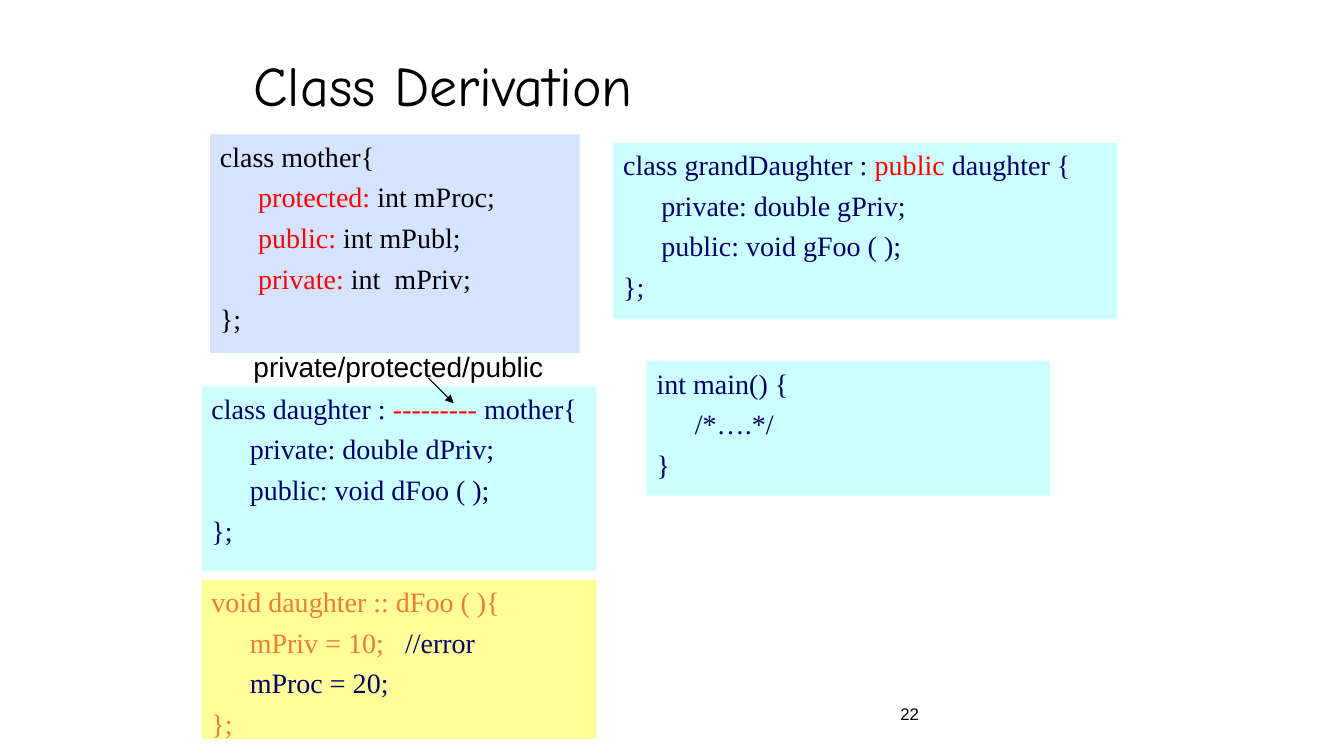
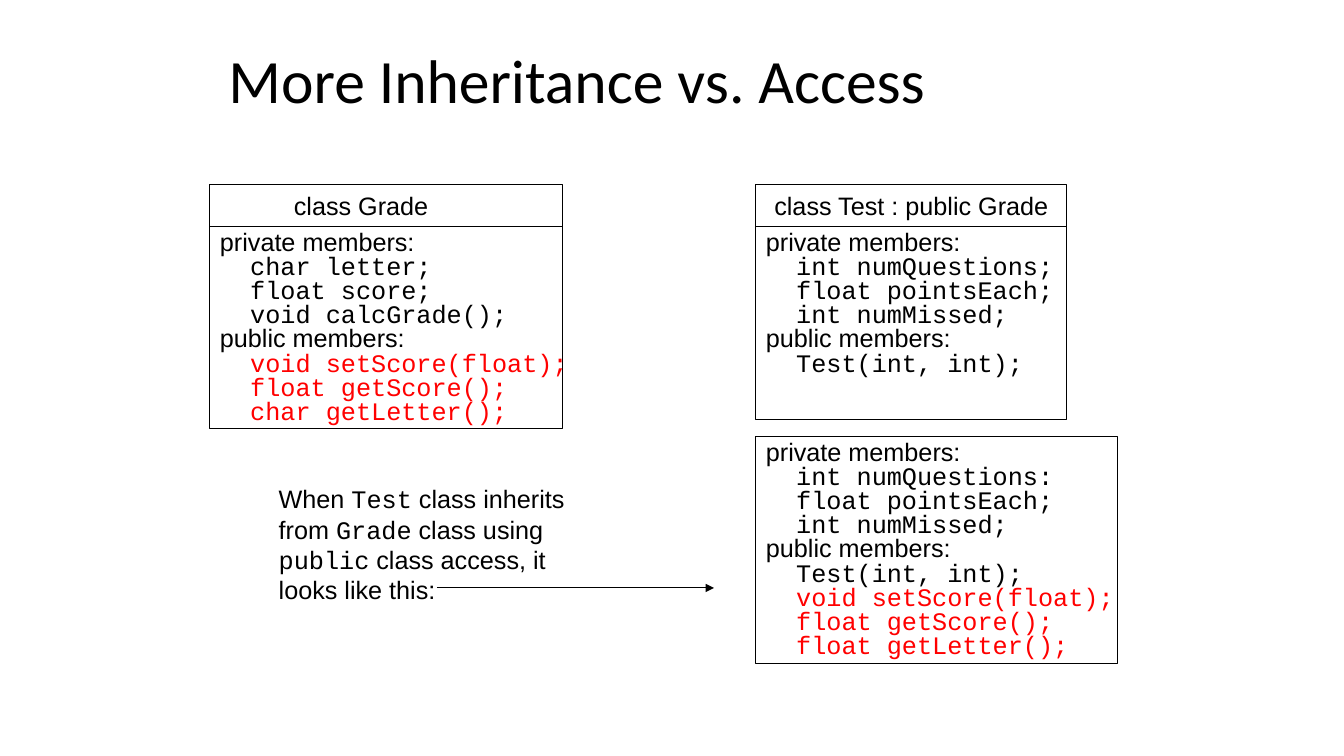
from lxml.etree import SubElement
from pptx import Presentation
from pptx.dml.color import RGBColor
from pptx.enum.shapes import MSO_CONNECTOR, MSO_SHAPE
from pptx.enum.text import MSO_ANCHOR, MSO_AUTO_SIZE, PP_ALIGN
from pptx.oxml.ns import qn
from pptx.util import Inches, Pt

COLUMNS, ROWS = 160, 90
CELL = Inches(1) / 12
BLACK, RED, NAVY, ORANGE = "000000", "FF0000", "000066", "ED7D31"
LAVENDER, AQUA, YELLOW = "D5E3FF", "CCFFFF", "FFFF99"
SANS, SERIF, MONO = "Arial", "Times New Roman", "Courier New"
CODE_INDENT, MEMBER_INDENT = 0.38, 0.3


def rgb(hex_color):
    """Turn a hex string into a colour."""
    return RGBColor.from_string(hex_color)


def cells(*counts):
    """Turn counts of grid cells into lengths."""
    return [round(count * CELL) for count in counts]


def line(*runs, indent=0, **style):
    """Describe one paragraph; a run is a string or a (string, style) pair."""
    pairs = [(run, {}) if isinstance(run, str) else run for run in runs]
    return indent, [(words, {**style, **own}) for words, own in pairs]


def red(words):
    """Describe a red run."""
    return words, {"color": RED}


def mono(words):
    """Describe a fixed-width run."""
    return words, {"font": MONO}


def write(frame, lines, size=18, font=SANS, color=BLACK, align=PP_ALIGN.LEFT,
          anchor=MSO_ANCHOR.TOP, spacing=1.0, before=0, right_inset=0.1):
    """Fill a text frame with formatted lines."""
    frame.word_wrap = True
    frame.auto_size = MSO_AUTO_SIZE.NONE
    frame.vertical_anchor = anchor
    frame.margin_right = Inches(right_inset)
    for position, (indent, runs) in enumerate(lines):
        paragraph = frame.add_paragraph() if position else frame.paragraphs[0]
        paragraph.alignment = align
        paragraph.line_spacing = spacing
        paragraph.space_before = Pt(before)
        if indent:
            properties = paragraph._p.get_or_add_pPr()
            properties.set("marL", str(Inches(indent)))
            properties.set("indent", "0")
        for words, style in runs:
            run = paragraph.add_run()
            run.text = words
            run.font.size = Pt(size)
            run.font.name = style.get("font", font)
            run.font.color.rgb = rgb(style.get("color", color))


def add_label(slide, box, lines, **style):
    """Place text without an outline in a grid box."""
    write(slide.shapes.add_textbox(*cells(*box)).text_frame, lines, **style)


def add_panel(slide, box, fill=None, outline=None):
    """Place a rectangle in a grid box and return it."""
    panel = slide.shapes.add_shape(MSO_SHAPE.RECTANGLE, *cells(*box))
    panel.shadow.inherit = False
    if fill:
        panel.fill.solid()
        panel.fill.fore_color.rgb = rgb(fill)
    else:
        panel.fill.background()
    if outline:
        panel.line.color.rgb = rgb(outline)
        panel.line.width = Pt(0.75)
    else:
        panel.line.fill.background()
    return panel


def add_arrow(slide, *ends):
    """Draw a thin arrow between two grid points."""
    arrow = slide.shapes.add_connector(MSO_CONNECTOR.STRAIGHT, *cells(*ends))
    arrow.line.color.rgb = rgb(BLACK)
    arrow.line.width = Pt(0.75)
    SubElement(arrow.line._get_or_add_ln(), qn("a:tailEnd"), type="triangle")
    SubElement(arrow._element.spPr, qn("a:effectLst"))


def add_titled_slide(deck, title, box, size, font):
    """Add a title-only slide with its title set in a grid box."""
    slide = deck.slides.add_slide(deck.slide_layouts[5])
    heading = slide.shapes.title
    heading.left, heading.top, heading.width, heading.height = cells(*box)
    write(heading.text_frame, [line(title)], size=size, font=font,
          anchor=MSO_ANCHOR.MIDDLE, spacing=0.9)
    return slide


def add_code(slide, box, fill, opening, body, closing="};", color=NAVY, brace=None):
    """Place a filled block of code with an indented body."""
    lines = [line(*opening, color=brace or color)]
    lines += [line(*runs, indent=CODE_INDENT) for runs in body]
    lines.append(line(closing, color=brace or color))
    write(add_panel(slide, box, fill).text_frame, lines, size=20, font=SERIF,
          color=color, before=5)


def add_members(slide, box, private, public, inherited=()):
    """Outline a list of private, public and inherited members."""
    left, top, width, height = box
    add_panel(slide, box, outline=BLACK)

    def code(names, color=BLACK):
        return [line(name, indent=MEMBER_INDENT, font=MONO, color=color) for name in names]

    lines = [line("private members:"), *code(private),
             line("public members:"), *code(public), *code(inherited, RED)]
    add_label(slide, (left, top, width + 3, height), lines, spacing=0.8)


def add_class(slide, box, name, right_inset=0.1, **members):
    """Place a class diagram: a name band above its members."""
    left, top, width, height = box
    band = 5
    header = add_panel(slide, (left, top, width, band), outline=BLACK)
    write(header.text_frame, [line(name)], align=PP_ALIGN.CENTER,
          anchor=MSO_ANCHOR.MIDDLE, right_inset=right_inset)
    add_members(slide, (left, top + band, width, height - band), **members)


def build_derivation(deck):
    """Build the slide of code blocks."""
    slide = add_titled_slide(deck, "Class Derivation", (29, 6, 102, 9), 40, "Comic Neue")
    add_label(slide, (106, 82, 25, 6), [line("22")], size=12, anchor=MSO_ANCHOR.MIDDLE)
    add_code(slide, (25, 16, 44, 26), LAVENDER, ["class mother{"],
             [[red("protected: "), "int mProc;"],
              [red("public: "), "int mPubl;"],
              [red("private: "), "int  mPriv;"]], color=BLACK)
    add_code(slide, (24, 46, 47, 22), AQUA,
             ["class daughter : ", red("---------"), " mother{"],
             [["private: double dPriv;"], ["public: void dFoo ( );"]])
    add_code(slide, (24, 69, 47, 19), YELLOW, ["void daughter :: dFoo ( ){"],
             [[("mPriv = 10;", {"color": ORANGE}), "   //error"], ["mProc = 20;"]],
             brace=ORANGE)
    add_label(slide, (29, 41, 42, 5), [line("private/protected/public")], size=20)
    add_arrow(slide, 51, 45, 54, 48)
    add_code(slide, (77, 43, 48, 16), AQUA, ["int main() {"], [["/*….*/"]], closing="}")
    add_code(slide, (73, 17, 60, 21), AQUA,
             ["class grandDaughter : ", red("public"), " daughter {"],
             [["private: double gPriv;"], ["public: void gFoo ( );"]])


def build_access(deck):
    """Build the slide of class diagrams."""
    slide = add_titled_slide(deck, "More Inheritance vs. Access", (26, 4, 100, 12), 44, "Calibri")
    test_private = ["float pointsEach;", "int numMissed;"]
    test_public = ["Test(int, int);"]
    add_class(slide, (25, 22, 42, 29), "class Grade", right_inset=0.6,
              private=["char letter;", "float score;", "void calcGrade();"], public=[],
              inherited=["void setScore(float);", "float getScore();", "char getLetter();"])
    add_class(slide, (90, 22, 37, 28), "class Test : public Grade",
              private=["int numQuestions;", *test_private], public=test_public)
    add_members(slide, (90, 52, 43, 27), ["int numQuestions:", *test_private], test_public,
                ["void setScore(float);", "float getScore();", "float getLetter();"])
    add_label(slide, (32, 57, 41, 16),
              [line("When ", mono("Test"), " class inherits"),
               line("from ", mono("Grade"), " class using"),
               line(mono("public"), " class access, it looks like this:")])
    add_arrow(slide, 52, 70, 85, 70)


def main():
    """Build and save the presentation."""
    deck = Presentation()
    deck.slide_width, deck.slide_height = cells(COLUMNS, ROWS)
    build_derivation(deck)
    build_access(deck)
    deck.save("out.pptx")


if __name__ == "__main__":
    main()
